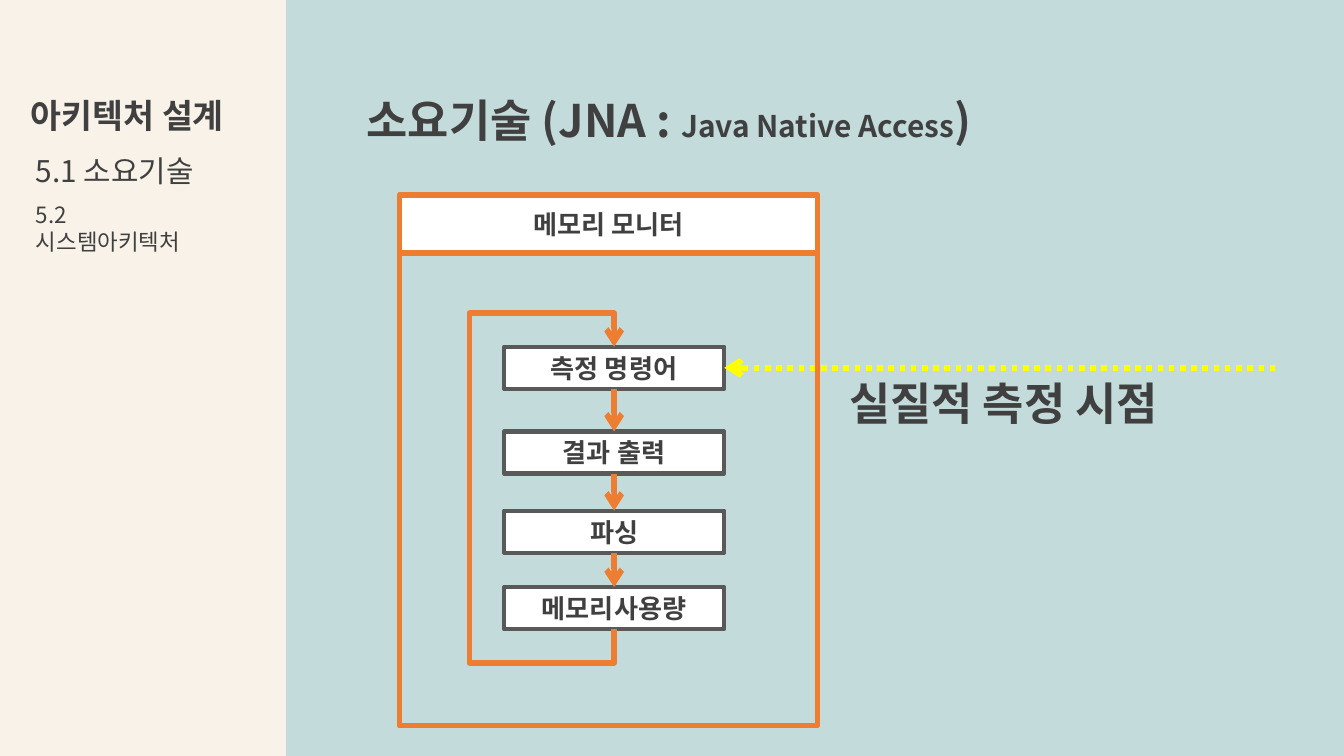
import itertools

import pptx
import pptx.dml.color
import pptx.enum.dml
import pptx.enum.shapes
import pptx.enum.text
import pptx.oxml.ns
import pptx.util
from lxml import etree

Pt = pptx.util.Pt
RGBColor = pptx.dml.color.RGBColor
FONT = "Noto Sans CJK KR"
MINT = RGBColor(0xC3, 0xDB, 0xDA)
CREAM = RGBColor(0xF8, 0xF2, 0xE8)
WHITE = RGBColor(0xFF, 0xFF, 0xFF)
INK = RGBColor(0x40, 0x40, 0x40)
GRAY = RGBColor(0x59, 0x59, 0x59)
ORANGE = RGBColor(0xED, 0x7D, 0x31)
YELLOW = RGBColor(0xFF, 0xFF, 0x00)

STEP_LEFT, STEP_WIDTH, STEP_HEIGHT = 270, 118, 22.5
STEPS = {"측정 명령어": 185.8, "결과 출력": 231.2, "파싱": 273.6, "메모리사용량": 314.6}


def add_span(para, text, size, bold):
    """Append a formatted run with Latin and East Asian fonts."""
    span = para.add_run()
    span.text = text
    for name, value in {"name": FONT, "size": Pt(size), "bold": bold}.items():
        setattr(span.font, name, value)
    span.font.color.rgb = INK
    properties = span.font._element
    etree.SubElement(properties, pptx.oxml.ns.qn("a:ea"), typeface=FONT)


def add_text(page, left, top, width, height, spans, bold=True):
    """Add a growing text box holding one paragraph of (text, size) spans."""
    box = page.shapes.add_textbox(Pt(left), Pt(top), Pt(width), Pt(height))
    settings = {
        "word_wrap": True,
        "auto_size": pptx.enum.text.MSO_AUTO_SIZE.SHAPE_TO_FIT_TEXT,
    }
    for name, value in settings.items():
        setattr(box.text_frame, name, value)
    for text, size in spans:
        add_span(box.text_frame.paragraphs[0], text, size, bold)


def style_line(line, color, width):
    """Give a line its colour and width."""
    line.color.rgb = color
    line.width = Pt(width)


def add_box(page, left, top, width, height, fill=None, outline=None, label=None):
    """Add a rectangle; outline is a (colour, width) pair."""
    box = page.shapes.add_shape(
        pptx.enum.shapes.MSO_SHAPE.RECTANGLE, Pt(left), Pt(top), Pt(width), Pt(height)
    )
    box.shadow.inherit = False
    if fill is None:
        box.fill.background()
    else:
        box.fill.solid()
        box.fill.fore_color.rgb = fill
    if outline is None:
        box.line.fill.background()
    else:
        style_line(box.line, *outline)
    if label:
        settings = {
            "vertical_anchor": pptx.enum.text.MSO_ANCHOR.MIDDLE,
            "word_wrap": True,
            "margin_left": Pt(1.5),
            "margin_right": Pt(1.5),
            "margin_top": 0,
            "margin_bottom": 0,
        }
        for name, value in settings.items():
            setattr(box.text_frame, name, value)
        para = box.text_frame.paragraphs[0]
        para.alignment = pptx.enum.text.PP_ALIGN.CENTER
        add_span(para, label, 14, True)
    return box


def add_arrowhead(shape, end):
    """Put an arrowhead on the headEnd or tailEnd of a line."""
    outline = shape.line._get_or_add_ln()
    etree.SubElement(outline, pptx.oxml.ns.qn("a:" + end), type="arrow")


def add_line(page, start, end, color):
    """Add a straight connector without a shadow."""
    line = page.shapes.add_connector(
        pptx.enum.shapes.MSO_CONNECTOR.STRAIGHT, *(Pt(value) for value in (*start, *end))
    )
    style_line(line.line, color, 3)
    etree.SubElement(line._element.spPr, pptx.oxml.ns.qn("a:effectLst"))
    return line


def add_loop(page, points):
    """Draw the open return path with an arrowhead at its end."""
    corners = [(Pt(x), Pt(y)) for x, y in points]
    builder = page.shapes.build_freeform(*corners[0])
    builder.add_line_segments(corners[1:], close=False)
    loop = builder.convert_to_shape()
    loop.shadow.inherit = False
    loop.fill.background()
    style_line(loop.line, ORANGE, 3)
    add_arrowhead(loop, "tailEnd")


def add_flow(page):
    """Add the monitor panel, its steps and the arrows between them."""
    add_box(page, 214, 135.4, 224, 253.4, outline=(ORANGE, 3))
    add_box(page, 214, 104.4, 224, 31, WHITE, (ORANGE, 3), "메모리 모니터")
    steps = [
        add_box(page, STEP_LEFT, top, STEP_WIDTH, STEP_HEIGHT, WHITE, (GRAY, 2.25), label)
        for label, top in STEPS.items()
    ]
    tops = list(STEPS.values())
    center = STEP_LEFT + STEP_WIDTH / 2
    for (upper, top), (lower, next_top) in itertools.pairwise(zip(steps, tops)):
        arrow = add_line(page, (center, top + STEP_HEIGHT), (center, next_top), ORANGE)
        arrow.begin_connect(upper, 2)
        arrow.end_connect(lower, 0)
        add_arrowhead(arrow, "tailEnd")

    bottom = tops[-1] + STEP_HEIGHT
    loop_left, loop_top, loop_bottom = 251.5, tops[0] - 18, bottom + 18
    add_loop(page, [
        (center, bottom), (center, loop_bottom), (loop_left, loop_bottom),
        (loop_left, loop_top), (center, loop_top), (center, tops[0]),
    ])

    middle = tops[0] + STEP_HEIGHT / 2
    pointer = add_line(page, (STEP_LEFT + STEP_WIDTH, middle), (684.5, middle), YELLOW)
    pointer.begin_connect(steps[0], 3)
    pointer.line.dash_style = pptx.enum.dml.MSO_LINE.ROUND_DOT
    add_arrowhead(pointer, "headEnd")


def main():
    """Build and save the slide."""
    deck = pptx.Presentation()
    deck.slide_width, deck.slide_height = Pt(720), Pt(405)
    page = deck.slides.add_slide(deck.slide_layouts[6])
    add_box(page, 153, 0, 567, 405, MINT)
    add_box(page, 0, 0, 153, 405, CREAM)
    add_text(page, 9.4, 47.5, 150, 29, [("아키텍처 설계", 18)])
    add_text(page, 12.2, 78.5, 133, 26.6, [("5.1 소요기술", 16)], bold=False)
    add_text(page, 12.2, 104.4, 104, 36, [("5.2 시스템아키텍처", 12)], bold=False)
    title = [("소요기술 (JNA : ", 24), ("Java Native Access", 16), (")", 24)]
    add_text(page, 189.4, 46, 448.6, 36, title)
    add_flow(page)
    add_text(page, 447.8, 198, 201.6, 36, [("실질적 측정 시점", 24)])
    deck.save("out.pptx")


if __name__ == "__main__":
    main()
